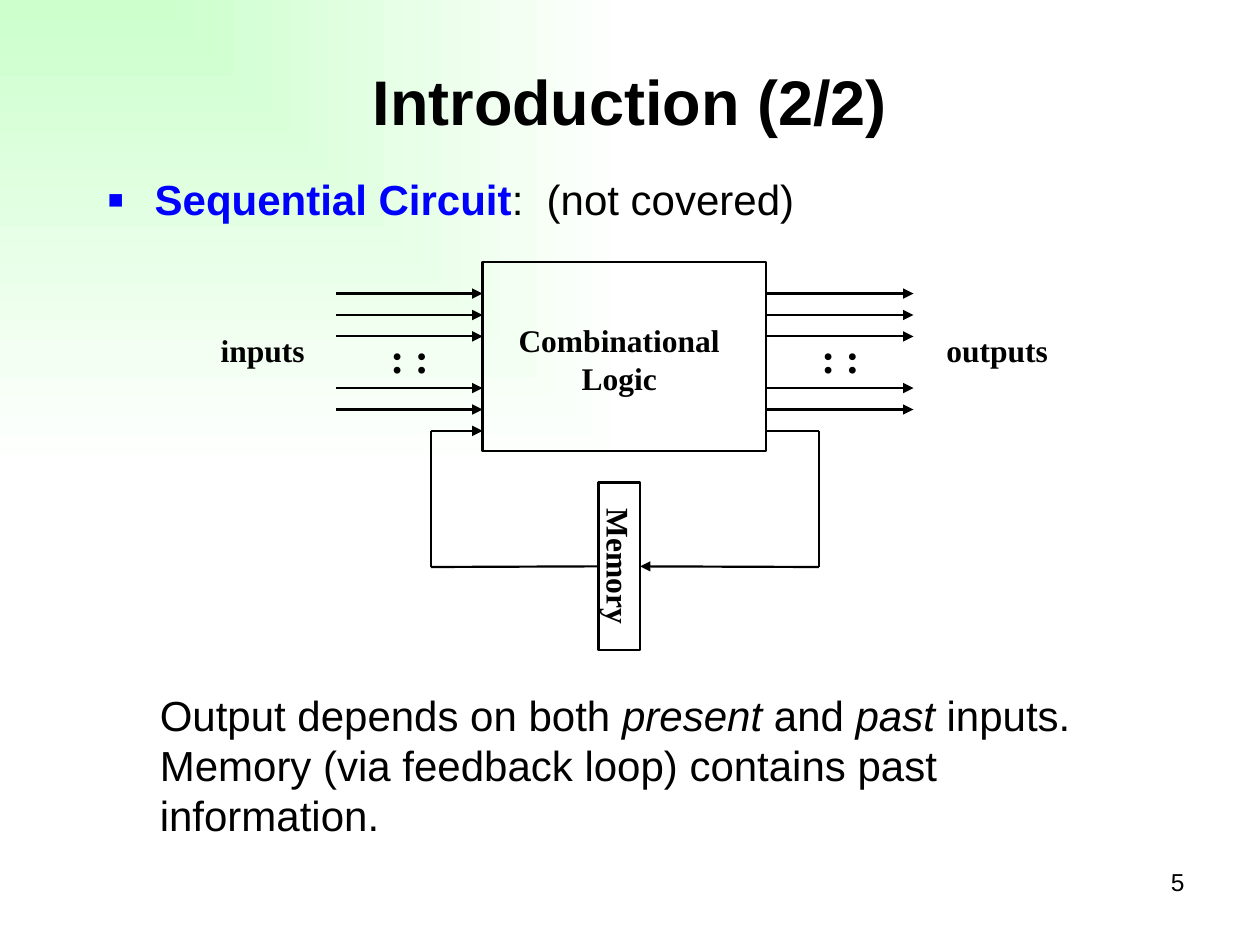
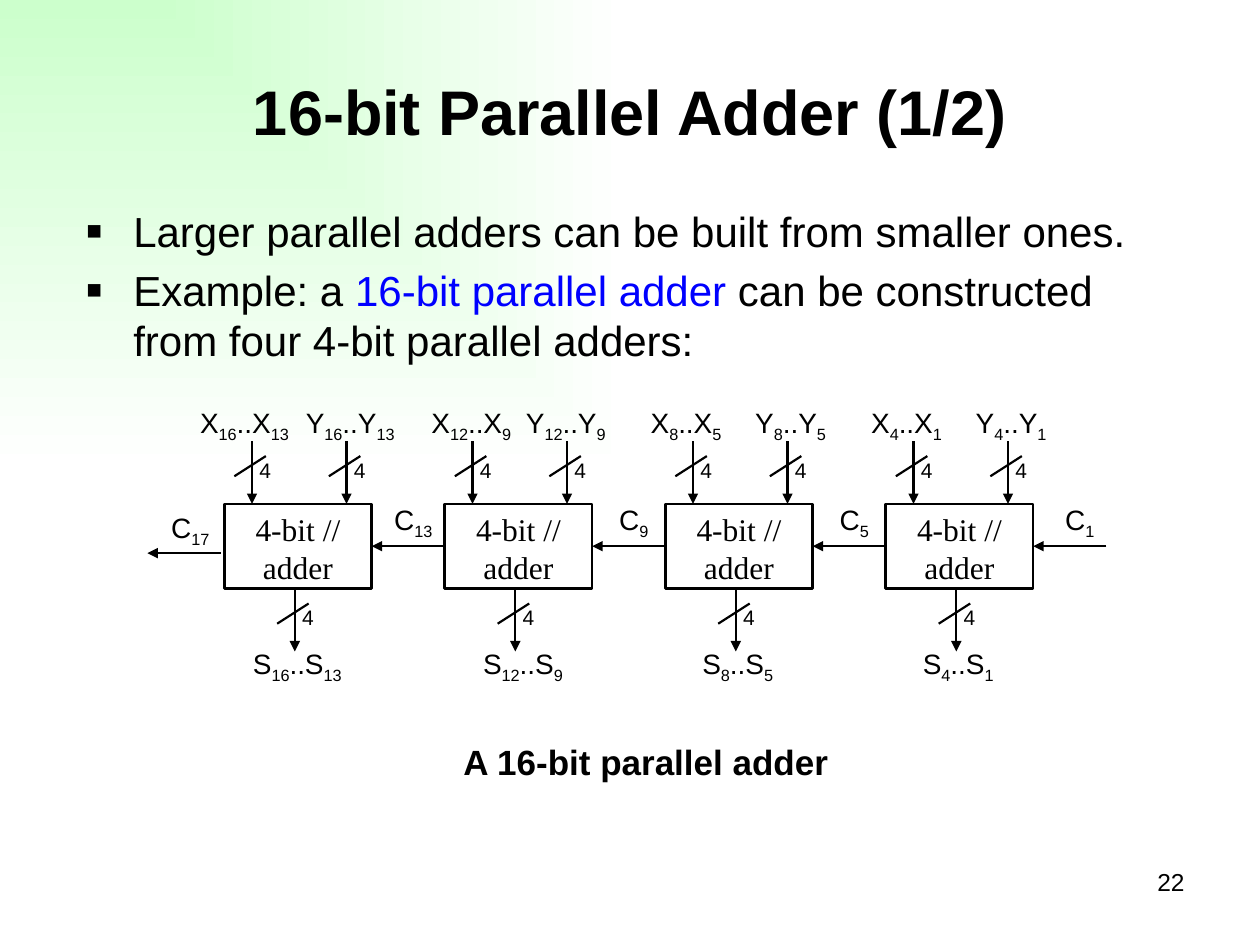
from pptx import Presentation
from pptx import util as u
from pptx.dml.color import RGBColor
from pptx.enum import shapes, text
from pptx.oxml.ns import qn
from lxml import etree

COLORS = {"ink": "000000", "accent": "0000FF", "glow": "CCFFCC", "paper": "FFFFFF"}
SANS, SERIF = "Arial", "Times New Roman"
CENTER, RIGHT = text.PP_ALIGN.CENTER, text.PP_ALIGN.RIGHT
ACCENT = {"color": "accent"}
SERIF_BOLD = {"name": SERIF, "size": 18, "bold": True}
INSETS = ("margin_left", "margin_top", "margin_right", "margin_bottom")


def rgb(key):
    return RGBColor.from_string(COLORS[key])


def sub(parent, tag, **attrs):
    return etree.SubElement(parent, qn(tag), attrs)


def paint_background(master):
    """Gradient that spreads from the top left corner, shared by all slides."""
    fill = master.background.fill
    fill.gradient()
    for stop, key in zip(fill.gradient_stops, ("glow", "paper")):
        stop.color.rgb = rgb(key)
    grad = master.element.find(".//" + qn("a:gradFill"))
    grad.remove(grad.find(qn("a:lin")))
    shade = sub(grad, "a:path", path="rect")
    sub(shade, "a:fillToRect", l="0", t="0", r="100000", b="100000")


def add_run(p, words, fmt):
    r = p.add_run()
    r.text = words
    values = {"name": SANS, "size": 24, "color": "ink", **fmt}
    r.font.color.rgb = rgb(values.pop("color"))
    if values.pop("sub", False):
        r._r.get_or_add_rPr().set("baseline", "-25000")
    values["size"] = u.Pt(values["size"])
    for key, value in values.items():
        setattr(r.font, key, value)


def add_bullet(p):
    pPr = p._p.get_or_add_pPr()
    pPr.set("marL", str(u.Inches(0.38)))
    pPr.set("indent", str(u.Inches(-0.38)))
    sub(pPr, "a:buSzPct", val="120000")
    sub(pPr, "a:buFont", typeface=SANS)
    sub(pPr, "a:buChar", char="▪")


def write(tf, paragraphs, align=None, bullets=False, **fmt):
    """Fill a frame; a paragraph is a string or a list of (words, format) runs."""
    tf.word_wrap = True
    for i, runs in enumerate(paragraphs):
        p = tf.paragraphs[0] if i == 0 else tf.add_paragraph()
        p.alignment = align
        if bullets:
            add_bullet(p)
            if i:
                p.space_before = u.Pt(4.8)
        for words, own in [(runs, {})] if isinstance(runs, str) else runs:
            add_run(p, words, {**fmt, **own})


def label(slide, x, y, w, h, *paragraphs, **options):
    sp = slide.shapes.add_textbox(*map(u.Inches, (x, y, w, h)))
    write(sp.text_frame, paragraphs, **options)
    return sp


def block(slide, x, y, w, h, *paragraphs, insets=(0.1, 0.05, 0.1, 0.05),
          anchor=text.MSO_ANCHOR.TOP, **options):
    sp = slide.shapes.add_shape(shapes.MSO_SHAPE.RECTANGLE, *map(u.Inches, (x, y, w, h)))
    sp.shadow.inherit = False
    sp.fill.background()
    sp.line.color.rgb = rgb("ink")
    sp.line.width = u.Pt(1.5)
    tf = sp.text_frame
    tf.vertical_anchor = anchor
    for side, inset in zip(INSETS, insets):
        setattr(tf, side, u.Inches(inset))
    write(tf, paragraphs, align=CENTER, **options)
    return sp


def wire(slide, x1, y1, x2, y2, arrow=True, begin=None, end=None):
    """Straight line; begin and end are (shape, side) pairs to join."""
    cn = slide.shapes.add_connector(shapes.MSO_CONNECTOR.STRAIGHT,
                                    *map(u.Inches, (x1, y1, x2, y2)))
    cn.line.color.rgb = rgb("ink")
    cn.line.width = u.Pt(1.25)
    if arrow:
        sub(cn.line._get_or_add_ln(), "a:tailEnd", type="triangle")
    sub(cn._element.spPr, "a:effectLst")
    if begin:
        cn.begin_connect(*begin)
    if end:
        cn.end_connect(*end)


def new_slide(prs, title, title_top, number):
    slide = prs.slides.add_slide(prs.slide_layouts[6])
    label(slide, 7.17, 6.83, 2.33, 0.52, str(number), align=RIGHT, size=14)
    heading = label(slide, 0.75, title_top, 8.5, 1.25, title,
                    align=CENTER, size=36, bold=True)
    heading.text_frame.vertical_anchor = text.MSO_ANCHOR.MIDDLE
    return slide


def sequential_circuit(slide, left, top):
    logic_left, logic_right = left + 2.33, left + 4.58
    block(slide, logic_left, top, 2.25, 1.5, "Combinational", "Logic",
          insets=(0.1, 0.47, 0.18, 0.05), **SERIF_BOLD)

    sides = [("inputs", left, left + 1.17, logic_left, left + 1.5),
             ("outputs", left + 5.83, logic_right, left + 5.75, left + 4.92)]
    for name, name_left, start, stop, dots_left in sides:
        for dy in (0.25, 0.42, 0.59, 1, 1.17):
            wire(slide, start, top + dy, stop, top + dy)
        label(slide, dots_left, top + 0.5, 0.67, 0.5, ": :", **{**SERIF_BOLD, "size": 24})
        label(slide, name_left, top + 0.5, 1.17, 0.4, name, align=CENTER, **SERIF_BOLD)

    memory_left, memory_width = left + 3.25, 0.33
    memory = block(slide, memory_left, top + 1.75, memory_width, 1.33, "Memory",
                   insets=(0, 0, 0, 0), anchor=text.MSO_ANCHOR.MIDDLE, **SERIF_BOLD)
    memory.text_frame._txBody.bodyPr.set("vert", "vert")

    loop_left, loop_right = left + 1.92, left + 5
    loop_top, loop_bottom = top + 1.34, top + 2.42
    for x in (loop_left, loop_right):
        wire(slide, x, loop_top, x, loop_bottom, arrow=False)
    wire(slide, loop_right, loop_top, logic_right, loop_top, arrow=False)
    wire(slide, loop_left, loop_top, logic_left, loop_top)
    wire(slide, memory_left, loop_bottom, loop_left, loop_bottom,
         arrow=False, begin=(memory, 1))
    wire(slide, loop_right, loop_bottom, memory_left + memory_width, loop_bottom,
         end=(memory, 3))


def bits(letter, high, low):
    """Runs for a range of bits such as X16..X13, indices lowered."""
    return [(letter, {}), (str(high), {"sub": True}),
            (".." + letter, {}), (str(low), {"sub": True})]


def bus(slide, x, top):
    """Downward arrow with the slash and width of a 4-bit bus."""
    wire(slide, x, top, x, top + 0.5)
    wire(slide, x + 0.11, top + 0.12, x - 0.14, top + 0.28, arrow=False)
    label(slide, x - 0.06, top + 0.08, 0.33, 0.3, "4", align=CENTER, size=12)


def carry(slide, x, y, index):
    label(slide, x, y, 0.58, 0.37, [("C", {}), (str(index), {"sub": True})],
          align=CENTER, size=16)


def adder_chain(slide, left, top):
    """Four adders in a row; left and top are those of the first one."""
    width, height, pitch = 1.17, 0.67, 1.75
    middle = top + height / 2
    # highest bit, label width, then label offsets for X, Y and S
    stages = [(16, 1, -0.34, 0.5, 0.08), (12, 0.92, -0.25, 0.5, 0.16),
              (8, 0.83, -0.25, 0.58, 0.16), (4, 0.83, -0.25, 0.58, 0.16)]
    adders = []
    for i, (high, label_width, *offsets) in enumerate(stages):
        x = left + i * pitch
        low = high - 3
        adders.append(block(slide, x, top, width, height, "4-bit // adder",
                            name=SERIF, size=18))
        for letter, dx, dy in zip("XYS", offsets, (-0.83, -0.83, 1.08)):
            label(slide, x + dx, top + dy, label_width, 0.37, bits(letter, high, low),
                  align=CENTER, size=16)
        for dx, dy in ((0.22, -0.5), (0.97, -0.5), (0.56, height)):
            bus(slide, x + dx, top + dy)
        carry(slide, x + (1.25 if low == 1 else 1.21), top - 0.06, low)

    for i, adder in enumerate(adders):
        x = left + i * pitch
        source = (adders[i + 1], 1) if i + 1 < len(adders) else None
        wire(slide, x + pitch, middle, x + width, middle, begin=source, end=(adder, 3))
    wire(slide, left - 0.03, top + 0.39, left - 0.61, top + 0.39)
    carry(slide, left - 0.56, top, 17)


def introduction_slide(prs):
    slide = new_slide(prs, "Introduction (2/2)", 0.17, 5)
    label(slide, 0.75, 1.33, 8.5, 0.58,
          [("Sequential Circuit", {**ACCENT, "bold": True}), (":  (not covered)", {})],
          bullets=True)
    italic = {"italic": True}
    label(slide, 1.17, 5.42, 7.83, 1.42,
          [("Output depends on both ", {}), ("present", italic), (" and ", {}),
           ("past", italic), (" inputs.", {})],
          "Memory (via feedback loop) contains past information.")
    sequential_circuit(slide, 1.5, 2.08)


def adder_slide(prs):
    slide = new_slide(prs, "16-bit Parallel Adder (1/2)", 0.25, 22)
    label(slide, 0.58, 1.58, 8.5, 1.42,
          "Larger parallel adders can be built from smaller ones.",
          [("Example: a ", {}), ("16-bit parallel adder", ACCENT),
           (" can be constructed from four 4-bit parallel adders:", {})],
          bullets=True)
    adder_chain(slide, 1.78, 4)
    label(slide, 3.58, 5.83, 3.17, 0.43, "A 16-bit parallel adder", size=20, bold=True)


def main():
    prs = Presentation()
    prs.slide_width, prs.slide_height = u.Inches(10), u.Inches(7.5)
    paint_background(prs.slide_master)
    introduction_slide(prs)
    adder_slide(prs)
    prs.save("out.pptx")


if __name__ == "__main__":
    main()
